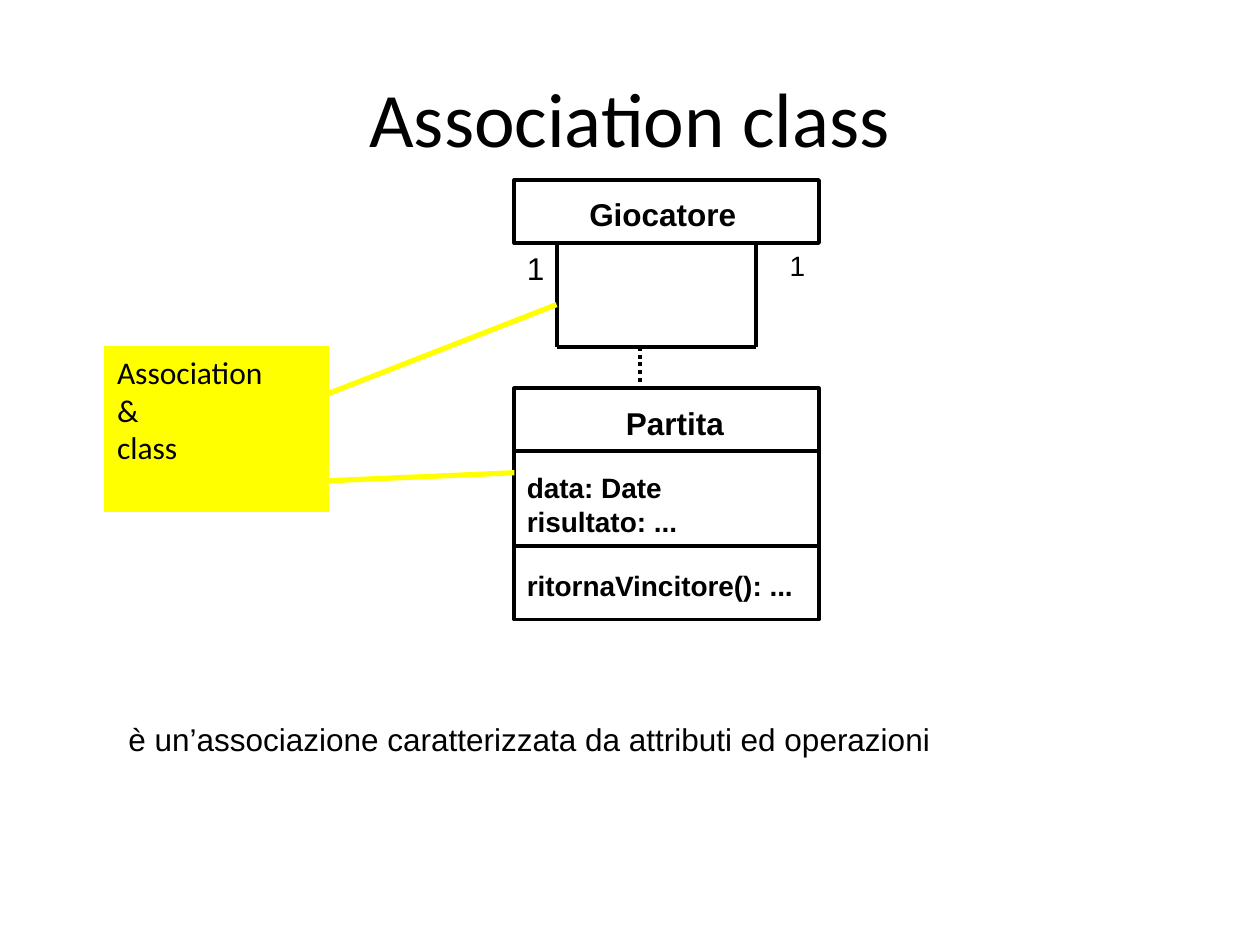
from pptx import Presentation
from pptx.dml.color import RGBColor
from pptx.enum.dml import MSO_LINE
from pptx.enum.shapes import MSO_CONNECTOR, MSO_SHAPE
from pptx.enum.text import MSO_ANCHOR, PP_ALIGN
from pptx.oxml.ns import qn
from pptx.util import Cm, Pt
from lxml import etree

COLORS = {"ink": "000000", "note": "FFFF00"}

deck = Presentation()
deck.slide_width, deck.slide_height = Cm(25.4), Cm(19.05)
slide = deck.slides.add_slide(deck.slide_layouts[6])
shapes = slide.shapes


def color(name):
    return RGBColor.from_string(COLORS[name])


def write(shape, text, size, font="Arial", bold=False, wrap=False,
          align=PP_ALIGN.LEFT, anchor=MSO_ANCHOR.TOP):
    frame = shape.text_frame
    frame.text = text
    frame.word_wrap = wrap
    frame.vertical_anchor = anchor
    for para in frame.paragraphs:
        para.alignment = align
        para.font.size = Pt(size)
        for run in para.runs:
            run.font.name = font
            run.font.size = Pt(size)
            run.font.bold = bold
            run.font.color.rgb = color("ink")


# Title
title = shapes.add_textbox(Cm(1.27), Cm(0.76), Cm(22.86), Cm(3.18))
write(title, "Association class", 44, "Calibri", wrap=True,
      align=PP_ALIGN.CENTER, anchor=MSO_ANCHOR.MIDDLE)

# Class boxes and the yellow note
left, right = 10.37, 16.51
boxes = [
    (left, 3.63, right - left, 1.27, None, "ink", 2.25),
    (left, 7.83, right - left, 4.66, None, "ink", 2.25),
    (2.11, 6.99, 4.52, 3.33, "note", "note", 0.75),
]
for x, y, w, h, fill, edge, width in boxes:
    box = shapes.add_shape(MSO_SHAPE.RECTANGLE, Cm(x), Cm(y), Cm(w), Cm(h))
    box.shadow.inherit = False
    if fill:
        box.fill.solid()
        box.fill.fore_color.rgb = color(fill)
    else:
        box.fill.background()
    box.line.color.rgb = color(edge)
    box.line.width = Pt(width)
    if fill:
        write(box, "Association\n&\nclass", 18, "Calibri")

# Dividers, association loop, dotted link and note pointers
start, end, top, base = 11.22, 15.24, 4.9, 6.99
lines = [
    (left, 9.1, right, 9.1, "ink", 2.25, None),
    (left, 11.01, right, 11.01, "ink", 2.25, None),
    (start, base, start, top, "ink", 2.25, None),
    (end, base, end, top, "ink", 2.25, None),
    (start, base, end, base, "ink", 2.25, None),
    (12.91, base, 12.91, 7.83, "ink", 2.25, MSO_LINE.ROUND_DOT),
    (start, 6.14, 6.35, 8.04, "note", 3, None),
    (left, 9.53, 5.5, 9.74, "note", 3, None),
]
for x1, y1, x2, y2, tone, width, dash in lines:
    line = shapes.add_connector(MSO_CONNECTOR.STRAIGHT,
                                Cm(x1), Cm(y1), Cm(x2), Cm(y2))
    line.line.color.rgb = color(tone)
    line.line.width = Pt(width)
    if dash:
        line.line.dash_style = dash
    etree.SubElement(line._element.spPr, qn("a:effectLst"))

# Class names, members, multiplicities and the closing sentence
labels = [
    (11.63, 3.81, 3.48, 1.02, "Giocatore", 18, True),
    (12.37, 8.03, 2.49, 1.02, "Partita", 18, True),
    (left, 9.37, 3.56, 1.63, "data: Date\nrisultato: ...", 16, True),
    (left, 11.33, 5.92, 0.94, "ritornaVincitore(): ...", 16, True),
    (left, 4.9, 3.18, 1.02, "1", 18, False),
    (15.67, 4.88, 3.18, 0.94, "1", 16, False),
    (2.34, 14.4, 22.1, 1.27,
     "è un’associazione caratterizzata da attributi ed operazioni", 18, False),
]
for x, y, w, h, text, size, bold in labels:
    label = shapes.add_textbox(Cm(x), Cm(y), Cm(w), Cm(h))
    write(label, text, size, bold=bold)
    # Wrapping keeps short labels at the left edge of wide boxes
    label.text_frame.word_wrap = not bold

deck.save("out.pptx")
